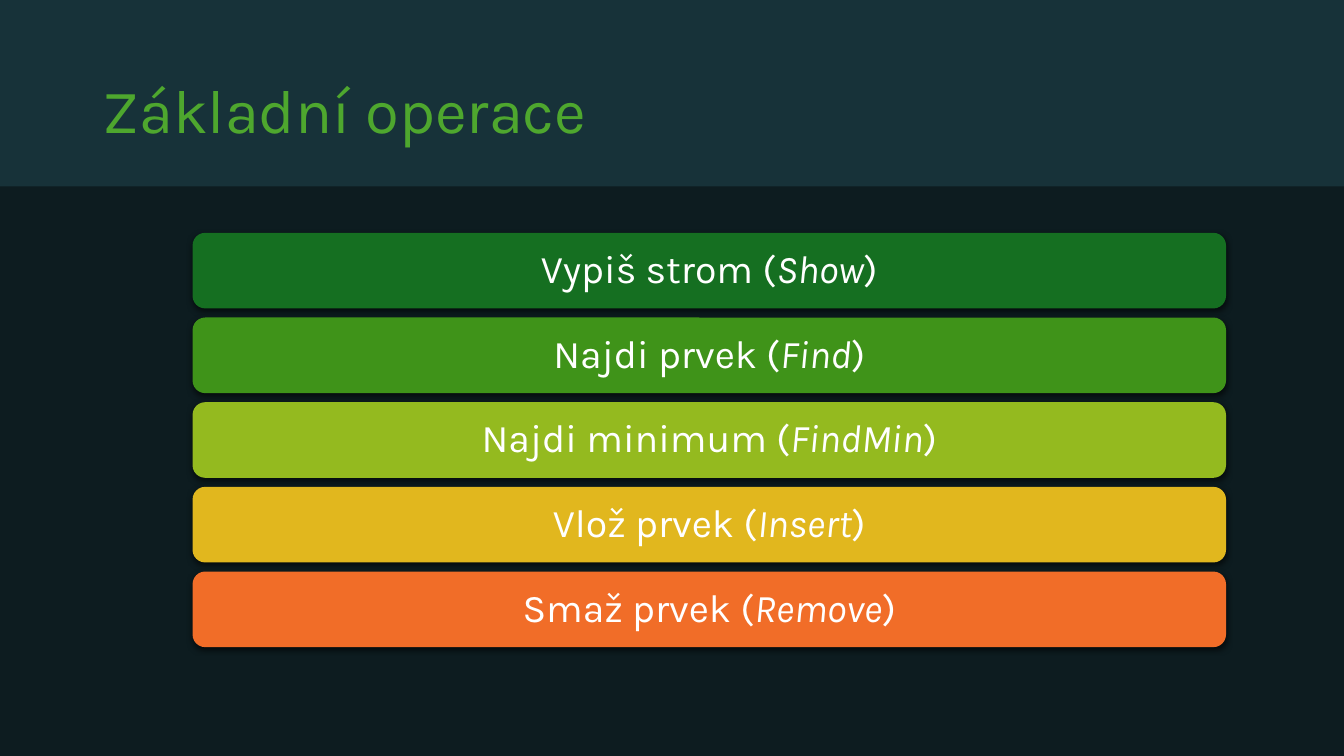
from lxml import etree
from pptx import Presentation
from pptx.dml.color import RGBColor
from pptx.enum import shapes, text
from pptx.oxml import parse_xml
from pptx.oxml.ns import nsdecls
from pptx.util import Inches, Pt

FONT = "Karla"
SHADOW = (
    f'<a:effectLst {nsdecls("a")}>'
    '<a:outerShdw blurRad="57150" dist="19050" dir="5400000" algn="ctr" rotWithShape="0">'
    '<a:srgbClr val="000000"><a:alpha val="63000"/></a:srgbClr>'
    '</a:outerShdw></a:effectLst>'
)


def add_panel(page, preset, left, top, width, height, color):
    """Add a filled shape with no line and no shadow."""
    panel = page.shapes.add_shape(
        preset, Inches(left), Inches(top), Inches(width), Inches(height))
    panel.shadow.inherit = False
    panel.fill.solid()
    panel.fill.fore_color.rgb = RGBColor.from_string(color)
    panel.line.fill.background()
    return panel


def style_paragraph(para, size, color, alignment):
    para.font.name = FONT
    para.font.size = Pt(size)
    para.font.color.rgb = RGBColor.from_string(color)
    para.alignment = alignment
    para.line_spacing = 0.9


deck = Presentation()
deck.slide_width, deck.slide_height = Inches(13.33), Inches(7.5)
page = deck.slides.add_slide(deck.slide_layouts[5])
page.background.fill.solid()
page.background.fill.fore_color.rgb = RGBColor.from_string("0D1C20")

# Header band, placed behind the title
band = add_panel(page, shapes.MSO_SHAPE.RECTANGLE, 0, 0, 13.33, 1.85, "173239")
title = page.shapes.title
title._element.addprevious(band._element)
title.left, title.top = Inches(0.92), Inches(0.4)
title.width, title.height = Inches(11.5), Inches(1.45)
title.text_frame.text = "Základní operace"
title.text_frame.vertical_anchor = text.MSO_ANCHOR.MIDDLE
style_paragraph(title.text_frame.paragraphs[0], 44, "4EA72E", text.PP_ALIGN.LEFT)

# One bar per tree operation
operations = [
    ("Vypiš strom", "Show", "156F21"),
    ("Najdi prvek", "Find", "3F9319"),
    ("Najdi minimum", "FindMin", "94BA1F"),
    ("Vlož prvek", "Insert", "E1B71E"),
    ("Smaž prvek", "Remove", "F16D28"),
]
for row, (label, command, color) in enumerate(operations):
    bar = add_panel(page, shapes.MSO_SHAPE.ROUNDED_RECTANGLE,
                    1.91, 2.31 + 0.84 * row, 10.25, 0.75, color)
    properties = bar._element.spPr
    properties.replace(properties.find("{*}effectLst"), parse_xml(SHADOW))

    frame = bar.text_frame
    frame.word_wrap = True
    frame.vertical_anchor = text.MSO_ANCHOR.MIDDLE
    para = frame.paragraphs[0]
    style_paragraph(para, 28, "FFFFFF", text.PP_ALIGN.CENTER)
    for words, italic in ((f"{label} (", False), (command, True), (")", False)):
        span = para.add_run()
        span.text = words
        span.font.italic = italic

deck.save("out.pptx")
